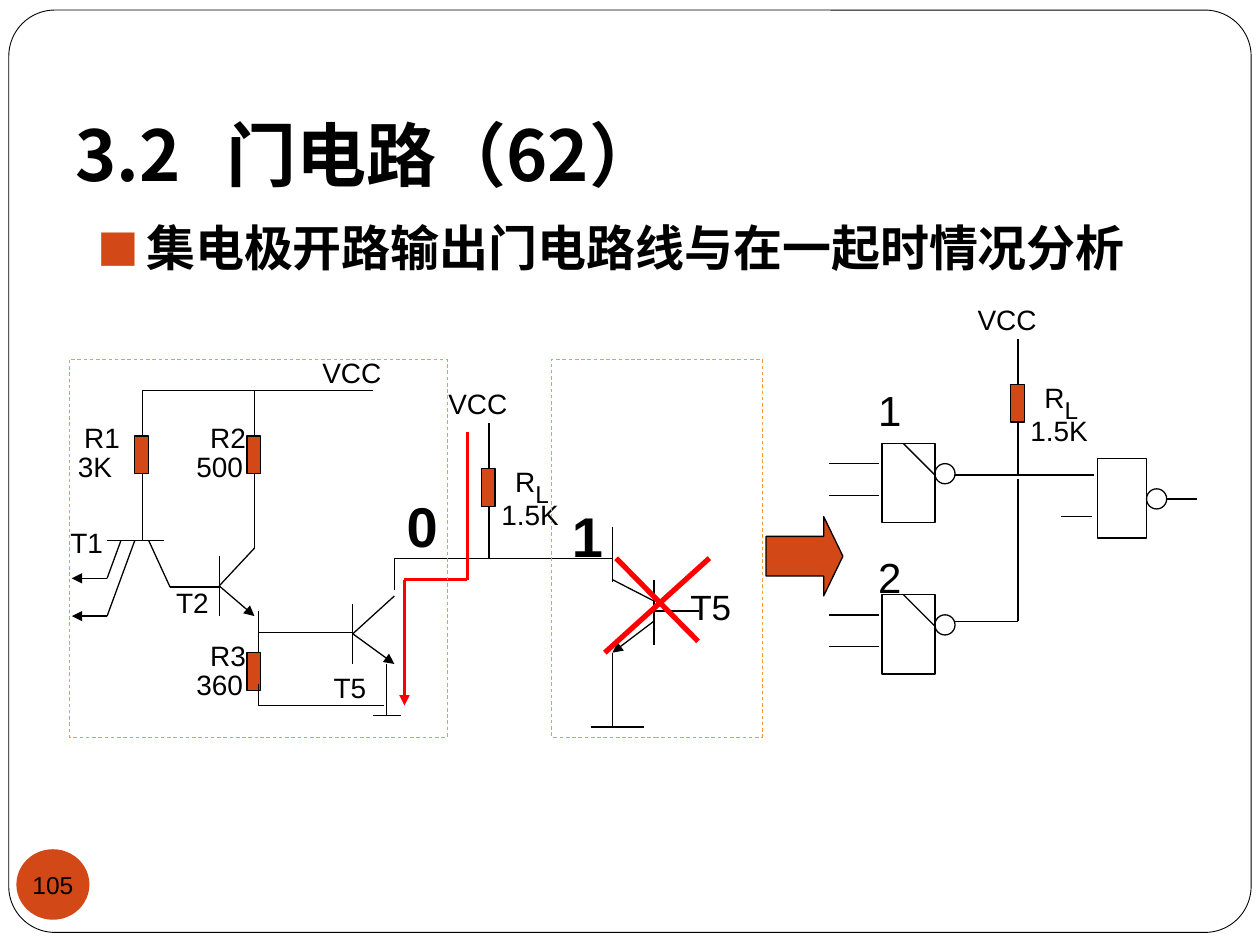
from collections import namedtuple
from lxml.etree import SubElement
from pptx import Presentation
from pptx.dml.color import RGBColor
from pptx.enum.dml import MSO_LINE_DASH_STYLE as Dash
from pptx.enum.shapes import MSO_CONNECTOR as Connector, MSO_SHAPE as Preset
from pptx.enum.text import MSO_ANCHOR as Anchor, PP_ALIGN as Align
from pptx.oxml.ns import qn
from pptx.util import Pt

PX = 9144
COLORS = {"ink": "000000", "paper": "FFFFFF", "accent": "D34817",
          "dash": "FF9933", "current": "FF0000"}
HEADING_FONT = "Noto Sans CJK JP"
LABEL_FONT = "Arial"

Box = namedtuple("Box", "shapes x y")


def inside(box, x, y):
    return Box(box.shapes, box.x + x, box.y + y)


def color(name):
    return RGBColor.from_string(COLORS[name])


def wire(box, x1, y1, x2, y2, ink="ink", width=0.75, arrow=False):
    line = box.shapes.add_connector(
        Connector.STRAIGHT, (box.x + x1) * PX, (box.y + y1) * PX,
        (box.x + x2) * PX, (box.y + y2) * PX)
    line.line.color.rgb = color(ink)
    line.line.width = Pt(width)
    if arrow:
        SubElement(line.line._get_or_add_ln(), qn("a:tailEnd"), type="triangle")
    SubElement(line._element.spPr, qn("a:effectLst"))


def wires(box, *ends, **style):
    for end in ends:
        wire(box, *end, **style)


def block(box, x, y, w, h, preset=Preset.RECTANGLE, fill=None, ink="ink", width=0.75):
    shape = box.shapes.add_shape(
        preset, (box.x + x) * PX, (box.y + y) * PX, w * PX, h * PX)
    shape.shadow.inherit = False
    if fill:
        shape.fill.solid()
        shape.fill.fore_color.rgb = color(fill)
    else:
        shape.fill.background()
    if ink:
        shape.line.color.rgb = color(ink)
        shape.line.width = Pt(width)
    else:
        shape.line.fill.background()
    return shape


def add_run(paragraph, text, size, font=LABEL_FONT, bold=False):
    run = paragraph.add_run()
    run.text = text
    run.font.size = Pt(size)
    run.font.bold = bold
    run.font.color.rgb = color("ink")
    run.font.name = font
    SubElement(run.font._element, qn("a:ea"), typeface=font)
    return run


def label(box, text, x, y, w=50, h=37, size=16, bold=False, wrap=True):
    frame = box.shapes.add_textbox(
        (box.x + x) * PX, (box.y + y) * PX, w * PX, h * PX).text_frame
    frame.word_wrap = wrap
    paragraph = frame.paragraphs[0]
    add_run(paragraph, text, size, bold=bold)
    return paragraph


def level(box, digit, x, y):
    label(box, digit, x, y, 43, 64, 32, bold=True, wrap=False)


def resistor(box, x, y):
    block(box, x, y, 11, 30, fill="accent")


def dashed_frame(box, w, h):
    block(box, 0, 0, w, h, ink="dash", width=0.5).line.dash_style = Dash.DASH


def transistor(box, x, y, reach):
    wires(box, (x, y - 24, x, y + 24), (x + reach, y - 30, x, y))
    wire(box, x, y, x + reach, y + 24, arrow=True)


def pull_up(box):
    load = label(box, "R", 53, 51)
    add_run(load, "L", 24).font._element.set("baseline", "-25000")
    label(box, "1.5K", 42, 88, 75)
    resistor(box, 36, 70)
    wires(box, (42, 34, 42, 70), (42, 100, 42, 141))
    label(box, "VCC", 0, 0, 75)


def conducting_gate(box):
    wires(box, (30, 144, 75, 144), (41, 144, 30, 174), (52, 144, 30, 204),
          (63, 144, 80, 181), (80, 181, 119, 181),
          (58, 25, 241, 25), (58, 25, 58, 61), (58, 91, 58, 144),
          (147, 25, 147, 61), (147, 91, 147, 150),
          (150, 200, 150, 233), (225, 217, 150, 217), (258, 158, 258, 183),
          (252, 242, 252, 283), (263, 283, 241, 283), (150, 275, 250, 275))
    wires(box, (30, 174, 2, 174), (30, 204, 2, 204), arrow=True)
    transistor(box, 119, 180, 28)
    transistor(box, 225, 218, 33)
    for name, value, name_x, value_x, y, resistor_x, resistor_y in (
            ("R1", "3K", 2, -3, 44, 52, 61),
            ("R2", "500", 102, 91, 44, 141, 61),
            ("R3", "360", 102, 91, 217, 141, 233)):
        label(box, name, name_x, y)
        label(box, value, value_x, y + 23, 61)
        resistor(box, resistor_x, resistor_y)
    wire(box, 150, 258, 150, 275)
    for name, x, y in (("T1", -9, 127), ("T2", 75, 175), ("T5", 200, 242)):
        label(box, name, x, y)
    label(box, "VCC", 191, -8, 75)
    dashed_frame(box, 300, 300)
    level(box, "0", 258, 100)


def current_path(box):
    wires(box, (50, 0, 50, 117), (50, 117, 0, 117), ink="current", width=2)
    wire(box, 0, 117, 0, 217, ink="current", width=2, arrow=True)


def cut_off_gate(box):
    label(box, "T5", 100, 175, 79, 43, 20)
    wires(box, (81, 175, 81, 227), (48, 175, 81, 192), (117, 200, 81, 200),
          (48, 133, 48, 177), (48, 233, 48, 293), (73, 292, 31, 292))
    wire(box, 81, 208, 48, 233, arrow=True)
    level(box, "1", 6, 108)
    dashed_frame(box, 167, 300)
    wires(box, (125, 158, 42, 233), (51, 158, 116, 224), ink="current", width=3)


def gate_body(box, w, bubble_y):
    block(box, 0, 0, w, 63)
    block(box, w, bubble_y, 16, 16, Preset.OVAL)


def open_collector_gate(box):
    gate_body(inside(box, 42, 0), 42, 16)
    wires(box, (40, 16, 0, 16), (40, 41, 0, 41), (59, 0, 84, 25))


def wired_and(box):
    for number, y in (("1", 117), ("2", 237)):
        open_collector_gate(inside(box, 0, y))
    label(box, "1", 29, 65, 58, 40, 24)
    label(box, "2", 29, 198, 58, 40, 24)
    gate_body(inside(box, 213, 129), 39, 24)
    wires(box, (100, 142, 210, 142), (150, 258, 150, 145), (100, 258, 150, 258),
          (209, 175, 184, 175), (268, 161, 292, 161))
    pull_up(inside(box, 108, 0))


def place(holder, x, y, w, h, anchor):
    holder.left, holder.top, holder.width, holder.height = (
        side * PX for side in (x, y, w, h))
    frame = holder.text_frame
    frame.word_wrap = True
    frame.vertical_anchor = anchor
    frame.margin_left = frame.margin_right = 10 * PX
    frame.margin_top = 5 * PX
    paragraph = frame.paragraphs[0]
    paragraph.alignment = Align.LEFT
    paragraph.space_before = Pt(0)
    return paragraph


def heading(slide):
    title = place(slide.shapes.title, 50, 40, 900, 125, Anchor.BOTTOM)
    slide.shapes.title.text_frame.margin_bottom = 10 * PX
    stops = SubElement(title._p.get_or_add_pPr(), qn("a:tabLst"))
    SubElement(stops, qn("a:tab"), pos=str(120 * PX), algn="l")
    add_run(title, "3.2\t门电路（62）", 40, HEADING_FONT, True)

    topic = place(slide.placeholders[1], 67, 168, 892, 67, Anchor.TOP)
    props = topic._p.get_or_add_pPr()
    props.set("marL", str(39 * PX))
    props.set("indent", str(-39 * PX))
    tint = SubElement(props, qn("a:buClr"))
    SubElement(tint, qn("a:srgbClr"), val=COLORS["accent"])
    SubElement(props, qn("a:buSzPct"), val="85000")
    SubElement(props, qn("a:buFont"), typeface=HEADING_FONT)
    SubElement(props, qn("a:buChar"), char="■")
    add_run(topic, "集电极开路输出门电路线与在一起时情况分析", 28, HEADING_FONT, True)


def page_frame(box):
    border = block(box, 7, 8, 986, 732, Preset.ROUNDED_RECTANGLE, "paper", width=0.5)
    border.adjustments[0] = 0.05
    box.shapes._spTree.insert(2, border._element)
    badge = block(box, 13, 674, 58, 56, Preset.OVAL, "accent", ink=None).text_frame
    badge.margin_left = badge.margin_right = badge.margin_top = badge.margin_bottom = 0
    badge.word_wrap = False
    badge.vertical_anchor = Anchor.MIDDLE
    badge.paragraphs[0].alignment = Align.CENTER
    add_run(badge.paragraphs[0], "105", 14)


def main():
    deck = Presentation()
    deck.slide_width, deck.slide_height = 1000 * PX, 750 * PX
    slide = deck.slides.add_slide(deck.slide_layouts[1])
    page = Box(slide.shapes, 0, 0)
    page_frame(page)
    heading(slide)
    pull_up(inside(page, 346, 302))
    wires(page, (313, 443, 405, 443), (402, 443, 486, 443))
    current_path(inside(page, 321, 343))
    conducting_gate(inside(page, 55, 285))
    cut_off_gate(inside(page, 438, 285))
    wired_and(inside(page, 658, 235))
    arrow = block(page, 608, 410, 61, 63, Preset.RIGHT_ARROW, "accent")
    arrow.adjustments[1] = 0.25
    deck.save("out.pptx")


if __name__ == "__main__":
    main()
